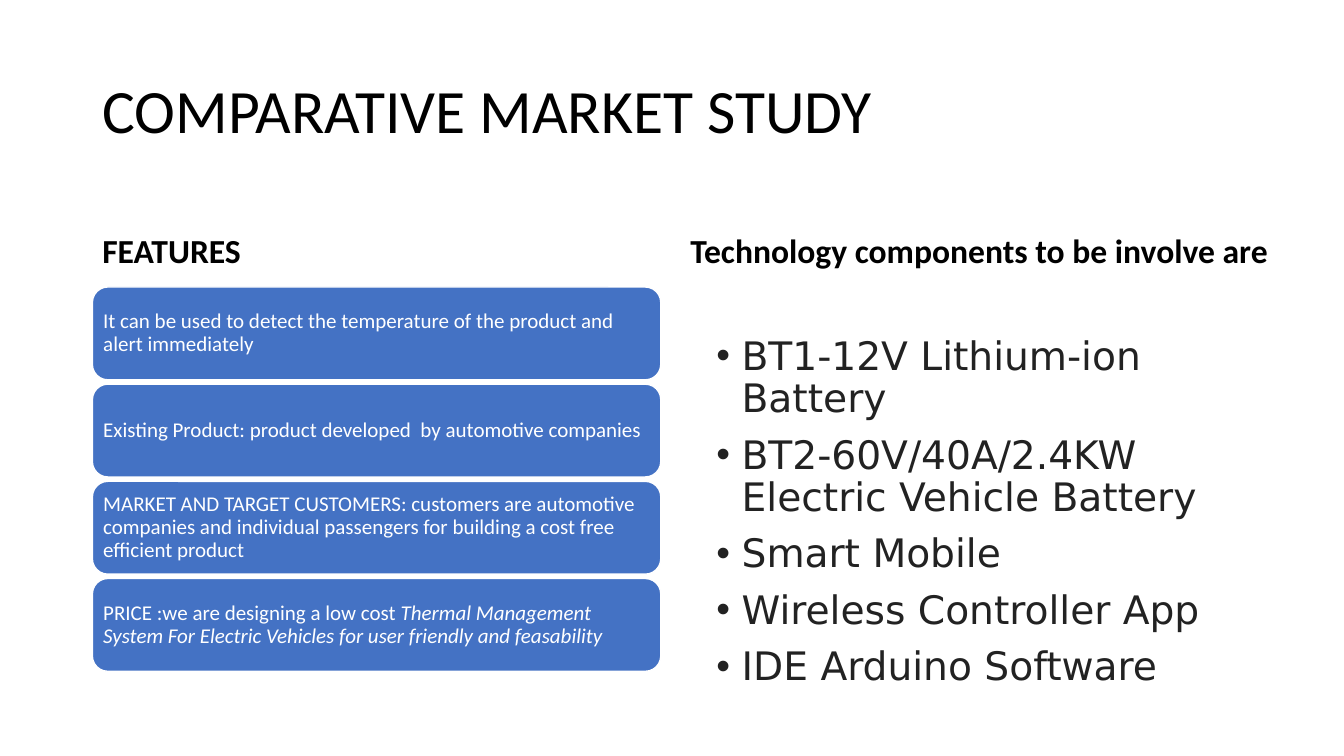
from lxml.etree import SubElement
from pptx import Presentation
from pptx.dml.color import RGBColor
from pptx.enum.shapes import MSO_SHAPE
from pptx.enum.text import MSO_ANCHOR, MSO_AUTO_SIZE, PP_ALIGN
from pptx.oxml.ns import qn
from pptx.util import Pt

LEFT = 66
WIDTH = 406
CARD_TOP = 205
CARD_STEP = 69.4
CARD_HIGH = 66.3

TITLE = {"name": "Calibri", "size": Pt(44), "bold": False}
HEAD = {"name": "Calibri", "size": Pt(24), "bold": True}
CARD = {"name": "Calibri", "size": Pt(15)}
LIST = {"name": "DejaVu Sans", "size": Pt(28)}

CARDS = [
    [("It can be used to detect the temperature of the product and alert immediately", False)],
    [("Existing Product: product developed  by automotive companies", False)],
    [("MARKET AND TARGET CUSTOMERS: customers are automotive companies and "
      "individual passengers for building a cost free efficient product", False)],
    [("PRICE :we are designing a low cost ", False),
     ("Thermal Management System For Electric Vehicles for user friendly and feasability", True)],
]
PARTS = [
    "BT1-12V Lithium-ion Battery",
    "BT2-60V/40A/2.4KW Electric Vehicle Battery",
    "Smart Mobile",
    "Wireless Controller App",
    "IDE Arduino Software",
]


def color(code):
    return RGBColor.from_string(code)


def style(font, look, code):
    for key, value in look.items():
        setattr(font, key, value)
    font.color.rgb = color(code)


def align(para):
    para.alignment = PP_ALIGN.LEFT
    para.line_spacing = 0.9


def setup(frame, anchor):
    frame.word_wrap = True
    frame.auto_size = MSO_AUTO_SIZE.NONE
    frame.vertical_anchor = anchor


def add_title(slide, text):
    title = slide.shapes.title
    title.left, title.top, title.width, title.height = map(Pt, (LEFT, 28.75, 828, 104.4))
    setup(title.text_frame, MSO_ANCHOR.MIDDLE)
    title.text_frame.text = text
    para = title.text_frame.paragraphs[0]
    align(para)
    style(para.font, TITLE, "000000")


def add_head(slide, text, left, width):
    box = slide.shapes.add_textbox(Pt(left), Pt(132.4), Pt(width), Pt(64.4))
    setup(box.text_frame, MSO_ANCHOR.BOTTOM)
    box.text_frame.text = text
    para = box.text_frame.paragraphs[0]
    align(para)
    style(para.font, HEAD, "000000")


def add_card(slide, top, runs):
    card = slide.shapes.add_shape(
        MSO_SHAPE.ROUNDED_RECTANGLE, Pt(LEFT), Pt(top), Pt(WIDTH), Pt(CARD_HIGH))
    card.shadow.inherit = False
    card.fill.solid()
    card.fill.fore_color.rgb = color("4472C4")
    card.line.color.rgb = color("FFFFFF")
    card.line.width = Pt(1)
    frame = card.text_frame
    setup(frame, MSO_ANCHOR.MIDDLE)
    for side in ("left", "top", "right", "bottom"):
        setattr(frame, f"margin_{side}", Pt(4.5))
    para = frame.paragraphs[0]
    align(para)
    for text, slant in runs:
        run = para.add_run()
        run.text = text
        style(run.font, {**CARD, "italic": slant}, "FFFFFF")


def add_list(slide, items):
    box = slide.shapes.add_textbox(Pt(504.7), Pt(236.9), Pt(408.2), Pt(290.2))
    frame = box.text_frame
    setup(frame, MSO_ANCHOR.TOP)
    for index, item in enumerate(items):
        para = frame.add_paragraph() if index else frame.paragraphs[0]
        para.text = item
        align(para)
        para.space_before = Pt(10 if index else 0)
        props = para._p.get_or_add_pPr()
        props.set("marL", str(Pt(18)))
        props.set("indent", str(Pt(-18)))
        SubElement(props, qn("a:buFont"), typeface="Arial")
        SubElement(props, qn("a:buChar"), char="•")
        style(para.font, LIST, "222222")


def main():
    deck = Presentation()
    deck.slide_width, deck.slide_height = Pt(960), Pt(540)
    slide = deck.slides.add_slide(deck.slide_layouts[5])
    add_title(slide, "COMPARATIVE MARKET STUDY")
    add_head(slide, "FEATURES", LEFT, WIDTH)
    for row, runs in enumerate(CARDS):
        add_card(slide, CARD_TOP + row * CARD_STEP, runs)
    add_head(slide, "Technology components to be involve are", 486, 445.7)
    add_list(slide, PARTS)
    deck.save("out.pptx")


if __name__ == "__main__":
    main()
